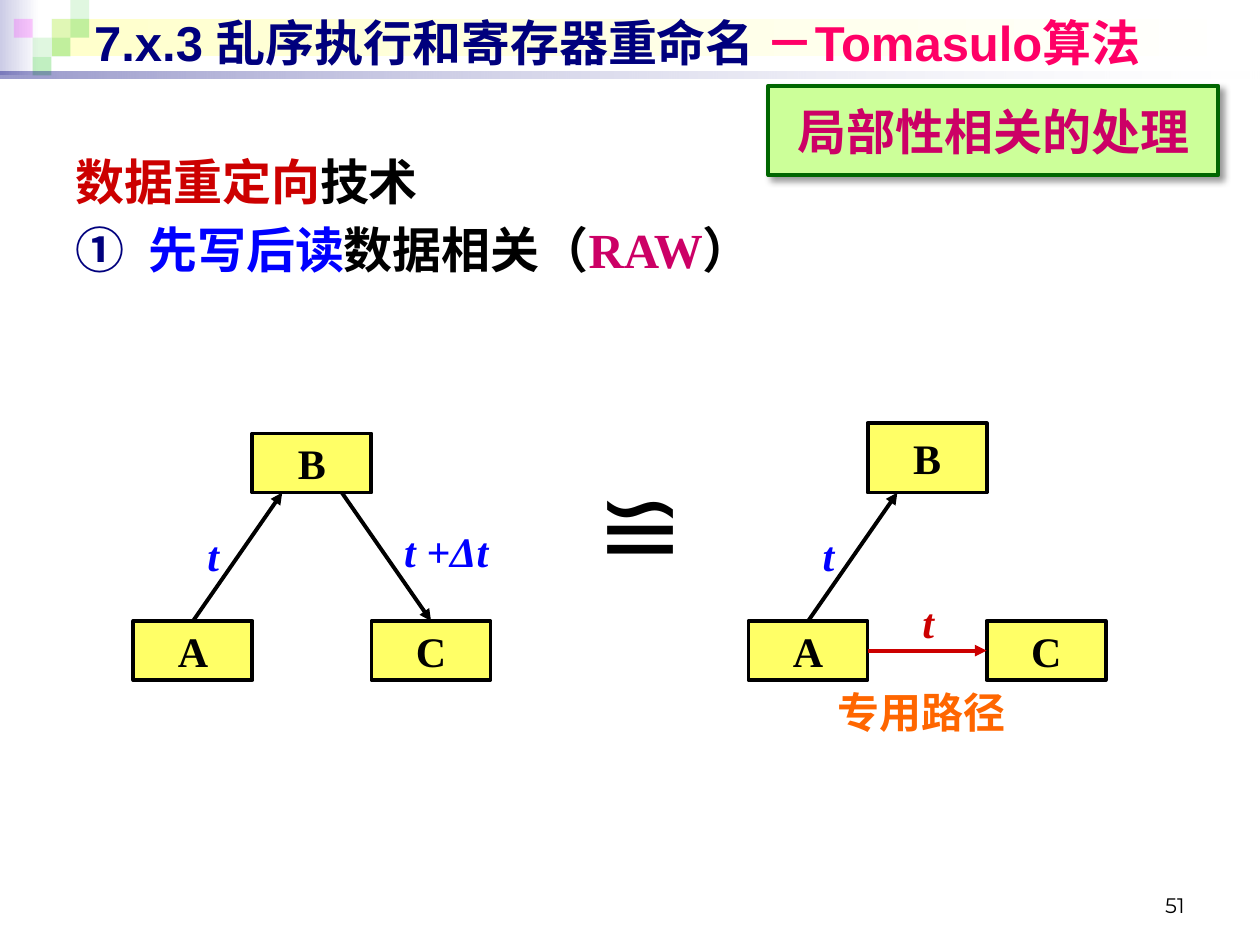
import pptx
import pptx.dml.color
import pptx.enum.shapes
import pptx.enum.text
import pptx.oxml.ns
import pptx.util
from lxml import etree

Cm = pptx.util.Cm
Pt = pptx.util.Pt
ALIGN = pptx.enum.text.PP_ALIGN
ANCHOR = pptx.enum.text.MSO_ANCHOR
RECTANGLE = pptx.enum.shapes.MSO_SHAPE.RECTANGLE
STRAIGHT = pptx.enum.shapes.MSO_CONNECTOR.STRAIGHT
TOP, LEFT, RIGHT = 0, 1, 3

COLORS = {
    "black": "000000", "white": "FFFFFF", "navy": "00007D", "blue": "0000FF",
    "red": "CC0000", "pink": "FF0066", "magenta": "CC0066", "orange": "FF6600",
    "yellow": "FFFF66", "light_green": "CCFF99", "dark_green": "006600",
    "lavender": "CCCCE6", "cream": "FFFFCC", "tile_green": "33CC33", "tile_pink": "FF00FF",
}
SERIF = "Times New Roman"
LINE_WIDTH = Pt(2.25)
BOX_WIDTH, BOX_HEIGHT = 2.4, 1.19
LOWER_TOP, UPPER_BOTTOM = 12.52, 9.93
TILE = 0.38


def rgb(name):
    return pptx.dml.color.RGBColor.from_string(COLORS[name])


def add_child(parent, tag, **attributes):
    child = etree.SubElement(parent, pptx.oxml.ns.qn(tag))
    for key, value in attributes.items():
        child.set(key, str(value))
    return child


def set_alpha(fill_element, percents):
    """Give each colour inside the fill its opacity in percent."""
    for color, percent in zip(fill_element.iter(pptx.oxml.ns.qn("a:srgbClr")), percents):
        add_child(color, "a:alpha", val=percent * 1000)


def add_rectangle(slide, left, top, width, height):
    shape = slide.shapes.add_shape(RECTANGLE, Cm(left), Cm(top), Cm(width), Cm(height))
    shape.shadow.inherit = False
    shape.line.fill.background()
    return shape


def add_tile(slide, column, row, color, opacity):
    tile = add_rectangle(slide, 0.28 + column * TILE, row * TILE, TILE, TILE)
    tile.fill.solid()
    tile.fill.fore_color.rgb = rgb(color)
    set_alpha(tile._element.spPr, [opacity])


def add_gradient_bar(slide, left, top, width, height, start, opacities=()):
    """Add a bar that fades from the start colour to white."""
    bar = add_rectangle(slide, left, top, width, height)
    bar.fill.gradient()
    bar.fill.gradient_angle = 0
    for stop, color in zip(bar.fill.gradient_stops, (start, "white")):
        stop.color.rgb = rgb(color)
    set_alpha(bar._element.spPr, opacities)


def format_font(font, size, name, color, bold=True, italic=False):
    font.size = Pt(size)
    font.name = name
    font.bold = bold
    font.italic = italic
    font.color.rgb = rgb(color)


def write_runs(paragraph, runs, size, name, **style):
    """Write (text, colour) pairs into the paragraph."""
    for text, color in runs:
        run = paragraph.add_run()
        run.text = text
        format_font(run.font, size, name, color, **style)


def add_text(slide, left, top, width, height, runs, size, name,
             align=ALIGN.CENTER, anchor=ANCHOR.TOP, **style):
    box = slide.shapes.add_textbox(Cm(left), Cm(top), Cm(width), Cm(height))
    frame = box.text_frame
    frame.word_wrap = True
    frame.vertical_anchor = anchor
    frame.paragraphs[0].alignment = align
    write_runs(frame.paragraphs[0], runs, size, name, **style)
    return frame


def add_box(slide, left, top, width, height, text, size, font, colors, wrap=False):
    """Add a framed box; colors are fill, line and text."""
    fill, line, ink = colors
    box = add_rectangle(slide, left, top, width, height)
    box.fill.solid()
    box.fill.fore_color.rgb = rgb(fill)
    box.line.color.rgb = rgb(line)
    box.line.width = LINE_WIDTH
    frame = box.text_frame
    frame.word_wrap = wrap
    frame.vertical_anchor = ANCHOR.MIDDLE
    frame.paragraphs[0].alignment = ALIGN.CENTER
    write_runs(frame.paragraphs[0], [(text, ink)], size, font)
    return box


def add_node(slide, left, top, text, height=BOX_HEIGHT):
    return add_box(slide, left, top, BOX_WIDTH, height, text, 24, SERIF,
                   ("yellow", "black", "black"))


def add_arrow(slide, start=(0, 0), end=(0, 0), color="black", begin_at=None, end_at=None):
    """Add an arrow; begin_at and end_at are (shape, side) to join."""
    arrow = slide.shapes.add_connector(STRAIGHT, *(Cm(value) for value in (*start, *end)))
    if begin_at:
        arrow.begin_connect(*begin_at)
    if end_at:
        arrow.end_connect(*end_at)
    arrow.line.color.rgb = rgb(color)
    arrow.line.width = LINE_WIDTH
    add_child(arrow.line._get_or_add_ln(), "a:tailEnd", type="triangle")
    add_child(arrow._element.spPr, "a:effectLst")


def add_time_label(slide, left, top, text="t", color="blue", width=1.6, align=ALIGN.CENTER):
    add_text(slide, left, top, width, 1.27, [(text, color)], 24, SERIF, align, italic=True)


def add_triangle(slide, left, upper_height):
    """Add nodes A, B and C with the arrow from A to B and its label."""
    upper_left = left + BOX_WIDTH
    add_node(slide, upper_left, UPPER_BOTTOM - upper_height, "B", upper_height)
    node_a = add_node(slide, left, LOWER_TOP, "A")
    node_c = add_node(slide, left + 2 * BOX_WIDTH, LOWER_TOP, "C")
    add_arrow(slide, end=(upper_left + BOX_WIDTH / 4, UPPER_BOTTOM), begin_at=(node_a, TOP))
    add_time_label(slide, left + 0.81, 10.54)
    return node_a, node_c


def add_header(slide):
    add_gradient_bar(slide, 0, 0, 0.79, 1.52, "lavender")
    add_gradient_bar(slide, 1.04, 0.38, 24.26, 0.76, "cream")
    for column, row, color, opacity in (
            (2, 1, "tile_green", 15), (3, 0, "tile_green", 15), (3, 1, "tile_green", 30),
            (1, 2, "tile_green", 15), (0, 1, "tile_pink", 20), (2, 2, "tile_green", 30),
            (1, 3, "tile_green", 30)):
        add_tile(slide, column, row, color, opacity)
    add_gradient_bar(slide, 0, 1.45, 25.4, 0.13, "navy", (40, 10))
    add_text(slide, 1.65, 0.13, 22.86, 1.45,
             [("7.x.3 乱序执行和寄存器重命名 ", "navy"), ("－Tomasulo算法", "pink")],
             28, "Arial", ALIGN.LEFT, ANCHOR.MIDDLE)


def add_body(slide):
    frame = add_text(slide, 1.27, 2.92, 23.44, 3.61,
                     [("数据重定向", "red"), ("技术", "black")], 28, SERIF, ALIGN.LEFT)
    paragraph = frame.add_paragraph()
    paragraph.space_before = Pt(5.6)
    properties = paragraph._p.get_or_add_pPr()
    properties.set("marL", str(Cm(1.47)))
    properties.set("indent", str(-Cm(1.47)))
    add_child(add_child(properties, "a:buClr"), "a:srgbClr", val=COLORS["navy"])
    add_child(properties, "a:buAutoNum", type="circleNumDbPlain")
    write_runs(paragraph, [("先写后读", "blue"), ("数据相关（", "black"),
                           ("RAW", "magenta"), ("）", "black")], 28, SERIF)


def add_topic_box(slide):
    box = add_box(slide, 15.49, 1.73, 9.07, 1.8, "局部性相关的处理", 28, "Arial",
                  ("light_green", "dark_green", "magenta"), wrap=True)
    effects = box._element.spPr.find(pptx.oxml.ns.qn("a:effectLst"))
    shadow = add_child(effects, "a:outerShdw", blurRad=Pt(4), dist=Pt(3),
                       dir=45 * 60000, algn="tl", rotWithShape=0)
    add_child(shadow, "a:srgbClr", val=COLORS["black"])
    set_alpha(shadow, [40])


def main():
    presentation = pptx.Presentation()
    presentation.slide_width, presentation.slide_height = Cm(25.4), Cm(19.05)
    slide = presentation.slides.add_slide(presentation.slide_layouts[6])

    add_header(slide)
    add_text(slide, 18.21, 17.35, 5.92, 1.27, [("51", "black")], 12, "Montserrat",
             ALIGN.RIGHT, ANCHOR.BOTTOM, bold=False)
    add_body(slide)

    left = 2.69
    _, node_c = add_triangle(slide, left, BOX_HEIGHT)
    add_arrow(slide, start=(left + 1.75 * BOX_WIDTH, UPPER_BOTTOM), end_at=(node_c, TOP))
    add_time_label(slide, 7.9, 10.46, "t +Δt", width=2.79, align=ALIGN.LEFT)

    node_a, node_c = add_triangle(slide, 15.09, 1.4)
    add_arrow(slide, color="red", begin_at=(node_a, RIGHT), end_at=(node_c, LEFT))
    add_time_label(slide, 17.91, 11.91, color="red")

    add_text(slide, 11.1, 9.12, 3.61, 2.79, [("≌", "black")], 60, "Arial", bold=False)
    add_text(slide, 16.48, 13.72, 4.19, 1.27, [("专用路径", "orange")], 24, "Arial")
    add_topic_box(slide)
    presentation.save("out.pptx")


if __name__ == "__main__":
    main()
